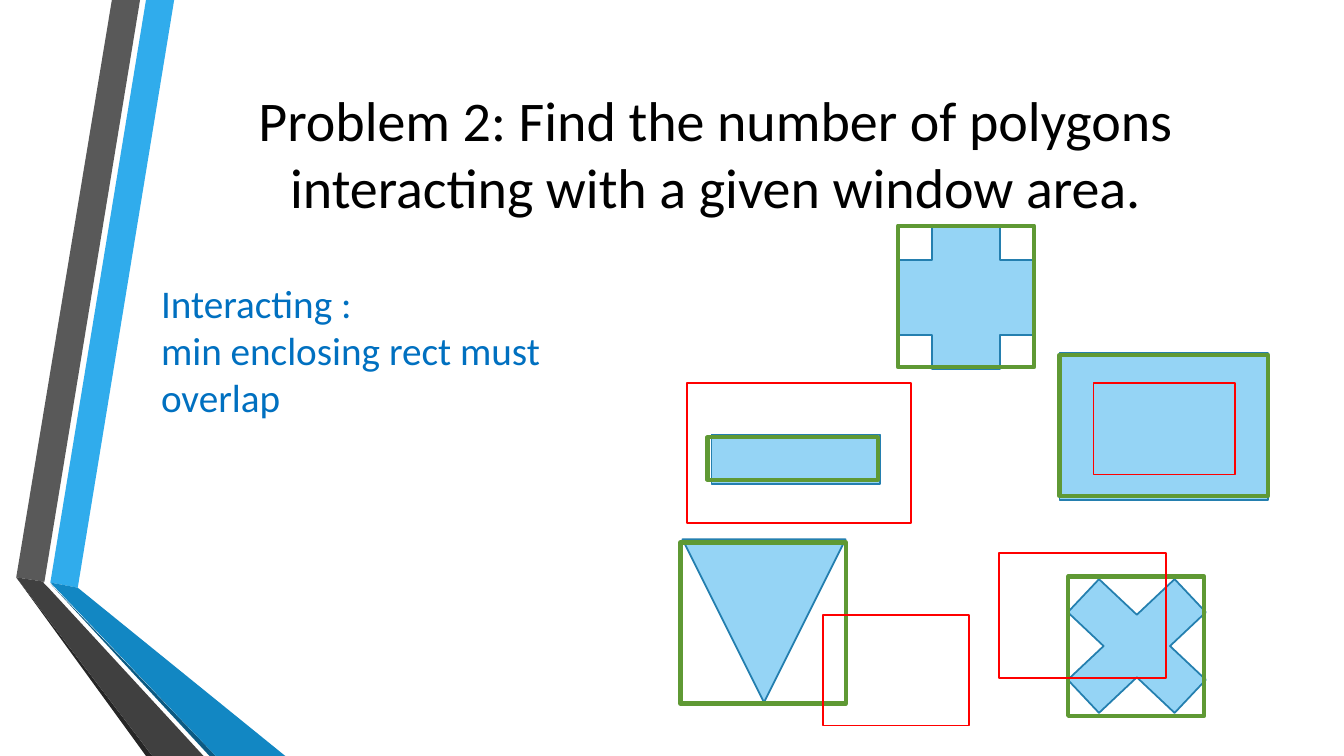
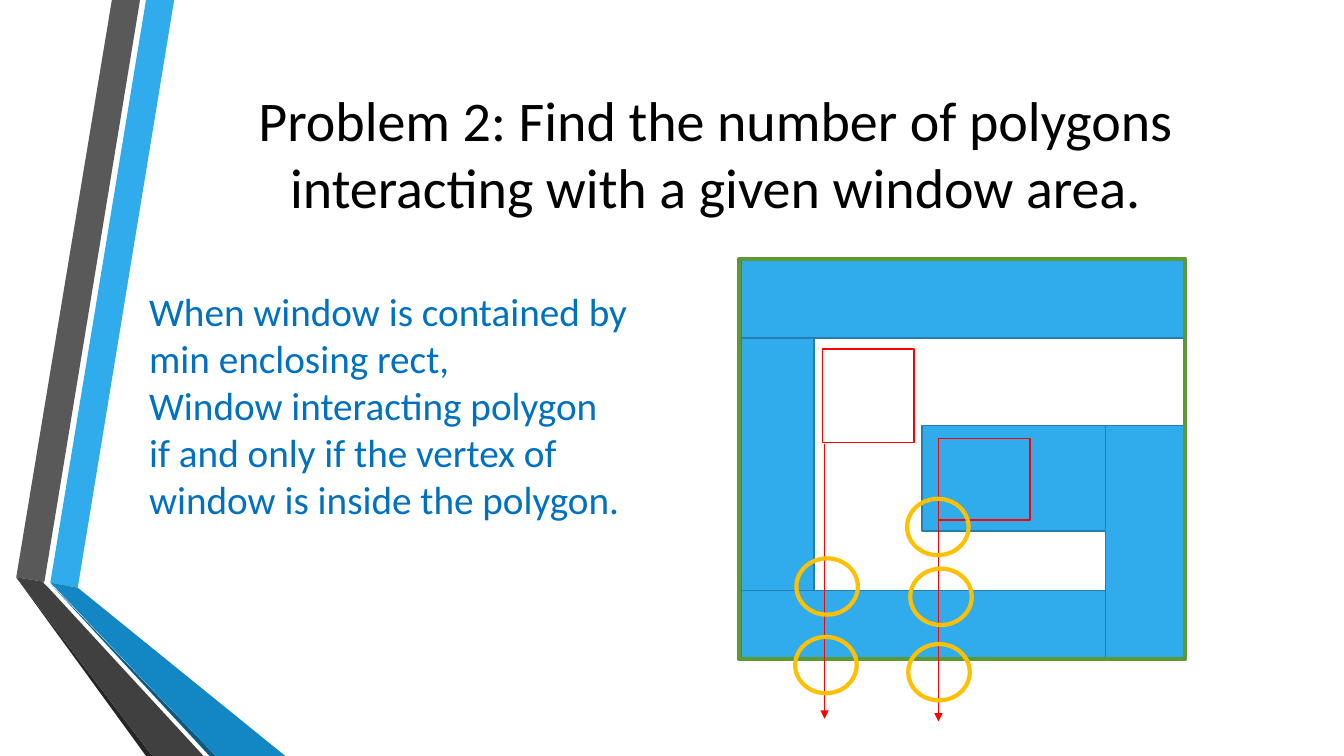
from dataclasses import dataclass

from lxml import etree
from pptx import Presentation
from pptx import util as u
from pptx.dml import color
from pptx.enum import shapes, text
from pptx.oxml import ns

Cm = u.Cm
Geo = shapes.MSO_SHAPE

COLORS = {
    "black": "000000",
    "copy": "0070C0",
    "polygon": "30ACEC",
    "outline": "247FAF",
    "enclosing": "5F9934",
    "window": "FF0000",
    "crossing": "FFC000",
    "blue": "30ACEC",
    "blue_fold": "1287C3",
    "blue_edge": "0C5A82",
    "gray": "595959",
    "gray_fold": "404040",
    "gray_edge": "262626",
}
FONT = "Calibri"
TITLE = "Problem 2: Find the number of polygons interacting with a given window area."
SLIDE_W, SLIDE_H = 33.87, 19.05


@dataclass(frozen=True)
class Style:
    line: str
    width: float
    fill: str | None = None
    opacity: int = 100


@dataclass(frozen=True)
class Box:
    """Place and size in centimetres."""
    left: float
    top: float
    width: float
    height: float

    def lengths(self) -> list[u.Length]:
        return [Cm(v) for v in (self.left, self.top, self.width, self.height)]


@dataclass(frozen=True)
class Figure:
    style: Style
    box: Box
    geo: Geo = Geo.FLOWCHART_PROCESS


@dataclass(frozen=True)
class Ray:
    x: float
    top: float
    length: float = 6.93


@dataclass(frozen=True)
class Band:
    color: str
    points: tuple[tuple[float, float], ...]


SEE_THROUGH = Style("outline", 1.25, "polygon", 51)
SOLID = Style("outline", 1.25, "polygon")
ENCLOSING = Style("enclosing", 3)
WINDOW = Style("window", 1.25)
CROSSING = Style("crossing", 3)
RAY = Style("window", 0.75)

BANDS = (
    Band("blue", ((1.27, 14.68), (1.96, 14.81), (4.39, 0), (3.68, 0))),
    Band("gray", ((3.53, 0), (2.82, 0), (0.41, 14.55), (1.12, 14.66))),
    Band("gray_edge", ((0.41, 14.55), (3.68, SLIDE_H), (3.84, SLIDE_H))),
    Band("blue_edge", ((1.27, 14.71), (5.28, SLIDE_H), (5.44, SLIDE_H))),
    Band("blue_fold", ((1.27, 14.68), (5.44, SLIDE_H), (7.19, SLIDE_H), (1.96, 14.81))),
    Band("gray_fold", ((5.13, SLIDE_H), (1.22, 14.81), (1.09, 14.68), (1.12, 14.66),
                       (0.41, 14.55), (3.84, SLIDE_H))),
)

OVERLAP_FIGURES = (
    Figure(SEE_THROUGH, Box(17.17, 8.92, 5.77, 5.31), Geo.MATH_MINUS),
    Figure(SEE_THROUGH, Box(26.06, 13.84, 5.18, 4.88), Geo.MATH_MULTIPLY),
    Figure(SEE_THROUGH, Box(17.2, 13.59, 4.11, 4.11), Geo.FLOWCHART_MERGE),
    Figure(SEE_THROUGH, Box(26.7, 8.89, 5.26, 3.71)),
    Figure(ENCLOSING, Box(17.83, 11.02, 4.29, 1.07)),
    Figure(ENCLOSING, Box(17.15, 13.67, 4.17, 4.06)),
    Figure(ENCLOSING, Box(26.92, 14.53, 3.43, 3.51)),
    Figure(ENCLOSING, Box(26.7, 8.94, 5.26, 3.56)),
    Figure(WINDOW, Box(20.75, 15.49, 3.68, 2.79)),
    Figure(WINDOW, Box(17.32, 9.65, 5.64, 3.53)),
    Figure(WINDOW, Box(27.56, 9.65, 3.56, 2.31)),
    Figure(WINDOW, Box(25.17, 13.94, 4.22, 3.15)),
    Figure(SEE_THROUGH, Box(22.63, 5.69, 3.43, 3.61), Geo.CROSS),
    Figure(ENCLOSING, Box(22.63, 5.69, 3.43, 3.56)),
)

SPIRAL_BARS = (
    Box(18.67, 7.44, 1.85, 7.62),
    Box(18.67, 14.88, 11.13, 1.73),
    Box(27.86, 10.72, 2.01, 5.89),
    Box(23.24, 10.72, 4.62, 2.67),
    Box(18.67, 6.55, 11.18, 1.96),
)
SPIRAL_FIGURES = (
    Figure(WINDOW, Box(20.73, 8.79, 2.31, 2.36)),
    *(Figure(SOLID, bar, Geo.RECTANGLE) for bar in SPIRAL_BARS),
    Figure(ENCLOSING, Box(18.62, 6.53, 11.25, 10.08)),
    Figure(WINDOW, Box(23.65, 11.05, 2.31, 2.06)),
)
RAYS = (Ray(20.78, 11.18), Ray(23.65, 11.25))
CROSSINGS = ((22.94, 14.33), (20.07, 14.07), (20.04, 16.05), (22.86, 12.57), (22.89, 16.23))


def rgb(name: str) -> color.RGBColor:
    return color.RGBColor.from_string(COLORS[name])


def apply_style(sp, style: Style) -> None:
    sp.shadow.inherit = False
    sp.line.color.rgb = rgb(style.line)
    sp.line.width = u.Pt(style.width)
    if style.fill is None:
        sp.fill.background()
        return
    sp.fill.solid()
    sp.fill.fore_color.rgb = rgb(style.fill)
    if style.opacity < 100:
        clr = sp.fill._xPr.find(".//" + ns.qn("a:srgbClr"))
        etree.SubElement(clr, ns.qn("a:alpha"), val=str(style.opacity * 1000))


def add_figure(s, fig: Figure) -> None:
    sp = s.shapes.add_shape(fig.geo, *fig.box.lengths())
    apply_style(sp, fig.style)


def add_ray(s, ray: Ray) -> None:
    """Draw an arrow pointing straight down."""
    ends = (ray.x, ray.top, ray.x, ray.top + ray.length)
    cn = s.shapes.add_connector(shapes.MSO_CONNECTOR.STRAIGHT, *(Cm(v) for v in ends))
    cn.line.color.rgb = rgb(RAY.line)
    cn.line.width = u.Pt(RAY.width)
    etree.SubElement(cn.line._get_or_add_ln(), ns.qn("a:tailEnd"), type="triangle")
    etree.SubElement(cn._element.spPr, ns.qn("a:effectLst"))


def add_band(s, band: Band) -> None:
    first, *rest = [(Cm(x), Cm(y)) for x, y in band.points]
    builder = s.shapes.build_freeform(*first)
    builder.add_line_segments(rest, close=True)
    sp = builder.convert_to_shape()
    sp.shadow.inherit = False
    sp.fill.solid()
    sp.fill.fore_color.rgb = rgb(band.color)
    sp.line.fill.background()


def add_text(s, box: Box, lines: tuple[str, ...], size: int, ink: str,
             anchor=text.MSO_ANCHOR.TOP, align=text.PP_ALIGN.LEFT) -> None:
    tf = s.shapes.add_textbox(*box.lengths()).text_frame
    for name, value in {"word_wrap": True, "vertical_anchor": anchor}.items():
        setattr(tf, name, value)
    for i, line in enumerate(lines):
        p = tf.paragraphs[0] if i == 0 else tf.add_paragraph()
        p.alignment = align
        r = p.add_run()
        r.text = line
        for name, value in {"name": FONT, "size": u.Pt(size)}.items():
            setattr(r.font, name, value)
        r.font.color.rgb = rgb(ink)


def add_base_slide(prs):
    """Add a slide with the folded bands and the shared title."""
    s = prs.slides.add_slide(prs.slide_layouts[6])
    for band in BANDS:
        add_band(s, band)
    add_text(s, Box(4.11, 1.4, 27.84, 4.88), (TITLE,), 40, "black",
             text.MSO_ANCHOR.MIDDLE, text.PP_ALIGN.CENTER)
    return s


def build_overlap_slide(prs) -> None:
    s = add_base_slide(prs)
    add_text(s, Box(3.81, 6.91, 12.9, 4.62),
             ("Interacting :", "min enclosing rect must overlap"), 28, "copy")
    for fig in OVERLAP_FIGURES:
        add_figure(s, fig)


def build_containment_slide(prs) -> None:
    s = add_base_slide(prs)
    add_text(s, Box(3.51, 7.11, 12.8, 6.25),
             ("When window is contained by min enclosing rect,",
              "Window interacting polygon",
              "if and only if the vertex of window is inside the polygon."), 28, "copy")
    for fig in SPIRAL_FIGURES:
        add_figure(s, fig)
    for ray in RAYS:
        add_ray(s, ray)
    for left, top in CROSSINGS:
        add_figure(s, Figure(CROSSING, Box(left, top, 1.55, 1.42), Geo.OVAL))


def main() -> None:
    prs = Presentation()
    prs.slide_width, prs.slide_height = Cm(SLIDE_W), Cm(SLIDE_H)
    build_overlap_slide(prs)
    build_containment_slide(prs)
    prs.save("out.pptx")


if __name__ == "__main__":
    main()
